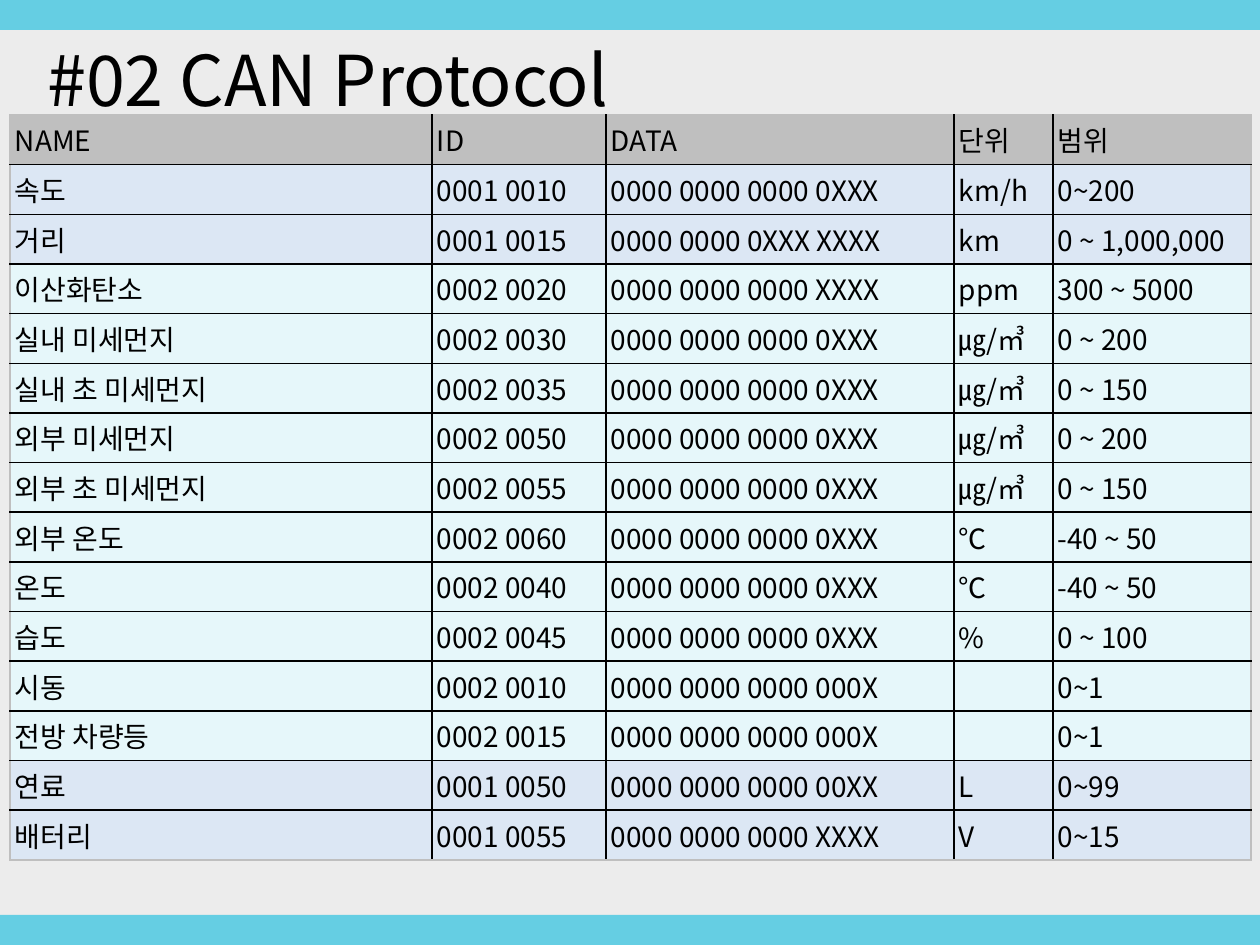
import pptx
import pptx.util
import pptx.dml.color
import pptx.enum.shapes
import pptx.enum.text
import pptx.oxml
import pptx.oxml.ns
from lxml import etree

WIDE, HIGH = 1260, 945
SCALE = 914400 / 126
FONT = "Noto Sans CJK KR"
COLORS = {
    "back": "ECECEC", "bar": "65CEE3", "text": "000000", "line": "000000",
    "edge": "BFBFBF", "head": "BFBFBF", "0001": "DCE7F4", "0002": "E6F7FA",
}
COLS = [422, 174, 348, 99, 198]
HEAD = ("NAME", "ID", "DATA", "단위", "범위")
ROWS = [
    ("속도", "0001 0010", "0XXX", "km/h", "0~200"),
    ("거리", "0001 0015", "0XXX XXXX", "km", "0 ~ 1,000,000"),
    ("이산화탄소", "0002 0020", "XXXX", "ppm", "300 ~ 5000"),
    ("실내 미세먼지", "0002 0030", "0XXX", "㎍/㎥", "0 ~ 200"),
    ("실내 초 미세먼지", "0002 0035", "0XXX", "㎍/㎥", "0 ~ 150"),
    ("외부 미세먼지", "0002 0050", "0XXX", "㎍/㎥", "0 ~ 200"),
    ("외부 초 미세먼지", "0002 0055", "0XXX", "㎍/㎥", "0 ~ 150"),
    ("외부 온도", "0002 0060", "0XXX", "℃", "-40 ~ 50"),
    ("온도", "0002 0040", "0XXX", "℃", "-40 ~ 50"),
    ("습도", "0002 0045", "0XXX", "%", "0 ~ 100"),
    ("시동", "0002 0010", "000X", "", "0~1"),
    ("전방 차량등", "0002 0015", "000X", "", "0~1"),
    ("연료", "0001 0050", "00XX", "L", "0~99"),
    ("배터리", "0001 0055", "XXXX", "V", "0~15"),
]
ZEROS = "0000 0000 0000 0000"


def px(n):
    return pptx.util.Emu(round(n * SCALE))


def rgb(key):
    return pptx.dml.color.RGBColor.from_string(COLORS[key])


class Deck:
    def __init__(self):
        self.prs = pptx.Presentation()
        self.prs.slide_width, self.prs.slide_height = px(WIDE), px(HIGH)
        self.slide = self.prs.slides.add_slide(self.prs.slide_layouts[6])
        self.paint(self.slide.background.fill, "back")

    def paint(self, fill, key):
        fill.solid()
        fill.fore_color.rgb = rgb(key)

    def label(self, frame, text, size):
        para = frame.paragraphs[0]
        para.text = text
        para.font.size = pptx.util.Pt(size)
        para.font.name = FONT
        para.font.color.rgb = rgb("text")
        # East Asian face for the Hangul
        face = etree.SubElement(para._p.pPr.defRPr, pptx.oxml.ns.qn("a:ea"))
        face.set("typeface", FONT)

    def bar(self, top, height):
        kind = pptx.enum.shapes.MSO_SHAPE.RECTANGLE
        shape = self.slide.shapes.add_shape(kind, 0, px(top), px(WIDE), px(height))
        shape.shadow.inherit = False
        self.paint(shape.fill, "bar")
        shape.line.fill.background()

    def title(self, text, left, top, width, height):
        box = self.slide.shapes.add_textbox(px(left), px(top), px(width), px(height))
        box.text_frame.word_wrap = False
        box.text_frame.auto_size = pptx.enum.text.MSO_AUTO_SIZE.SHAPE_TO_FIT_TEXT
        self.label(box.text_frame, text, 40)

    def border(self, cell, sides):
        for side, key in sides.items():
            cell._tc.get_or_add_tcPr().append(pptx.oxml.parse_xml(
                f'<a:ln{side} {pptx.oxml.ns.nsdecls("a")} w="12700"><a:solidFill>'
                f'<a:srgbClr val="{COLORS[key]}"/></a:solidFill></a:ln{side}>'))

    def table(self, rows, keys, left, top, height):
        grid = self.slide.shapes.add_table(
            len(rows), len(COLS), px(left), px(top), px(sum(COLS)), px(height)).table
        grid.first_row = grid.horz_banding = False
        for col, width in zip(grid.columns, COLS):
            col.width = px(width)
        for r, row in enumerate(rows):
            for c, text in enumerate(row):
                cell = grid.cell(r, c)
                cell.margin_left = px(5)
                cell.margin_right = cell.margin_top = cell.margin_bottom = 0
                cell.vertical_anchor = pptx.enum.text.MSO_ANCHOR.MIDDLE
                # Black lines inside, grey around the outside
                ends = {"L": c == 0, "R": c == len(COLS) - 1,
                        "T": r == 0, "B": r == len(rows) - 1}
                self.border(cell, {s: "edge" if end else "line" for s, end in ends.items()})
                self.paint(cell.fill, keys[r])
                self.label(cell.text_frame, text, 16)


def main():
    deck = Deck()

    # Message table: the ID group sets the row colour, zeros pad the data
    rows = [HEAD] + [
        (name, code, ZEROS[:-len(data)] + data, unit, span)
        for name, code, data, unit, span in ROWS]
    keys = ["head"] + [row[1][:4] for row in ROWS]
    deck.table(rows, keys, 10, 115, 745)

    # Bars at top and bottom
    for top in (0, HIGH - 30):
        deck.bar(top, 30)

    # Title
    deck.title("#02 CAN Protocol", 35, 30, 611, 97)
    deck.prs.save("out.pptx")


if __name__ == "__main__":
    main()
